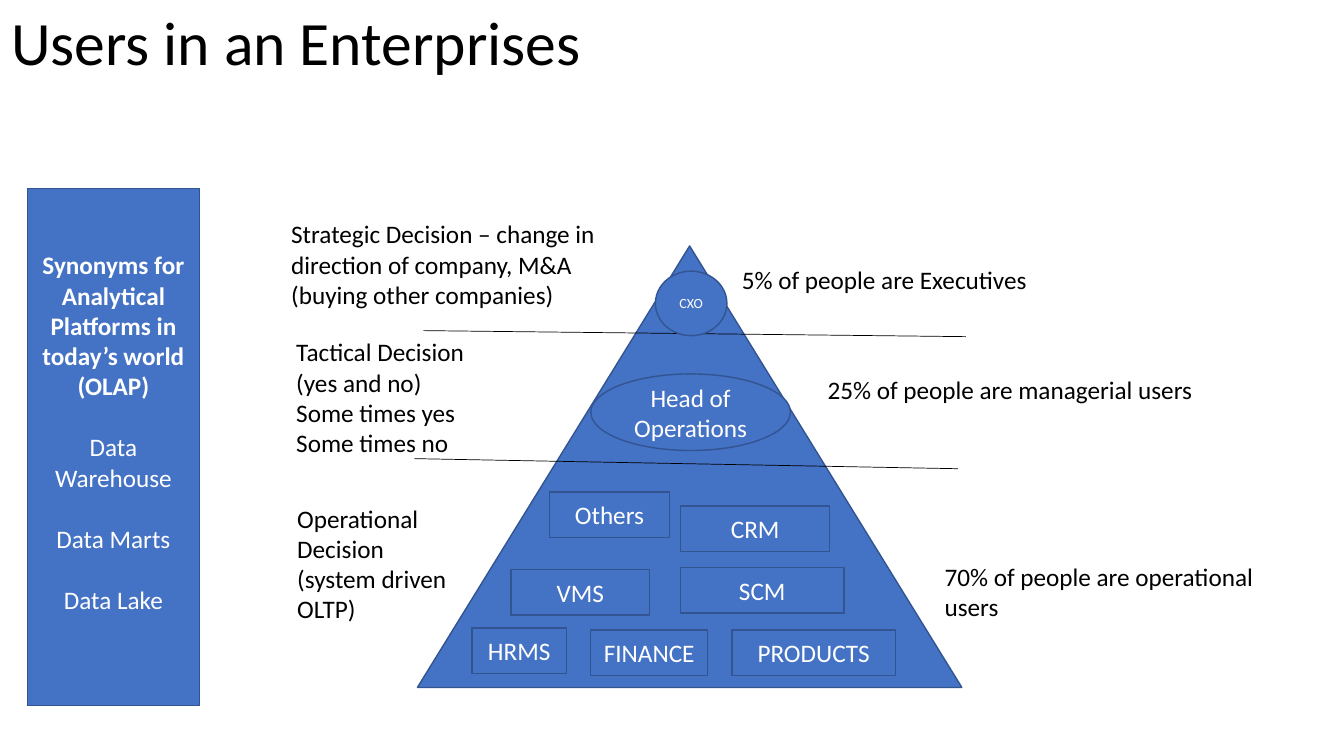
from typing import NamedTuple

from lxml.etree import SubElement
from pptx import Presentation
from pptx.dml.color import RGBColor
from pptx.enum.shapes import MSO_CONNECTOR, MSO_SHAPE
from pptx.enum.text import MSO_ANCHOR, PP_ALIGN
from pptx.oxml.ns import qn
from pptx.util import Inches, Pt

BLUE = RGBColor(0x44, 0x72, 0xC4)
EDGE = RGBColor(0x32, 0x54, 0x91)
BLACK = RGBColor(0, 0, 0)
WHITE = RGBColor(255, 255, 255)
FONT = "Calibri"
SYSTEM_HEIGHT = 0.45
BLANK_LINE = Pt(22)


class Node(NamedTuple):
    kind: MSO_SHAPE
    left: float
    top: float
    width: float
    height: float
    text: str = ""
    size: int = 18


class Label(NamedTuple):
    left: float
    top: float
    width: float
    height: float
    text: str


class Divider(NamedTuple):
    x1: float
    y1: float
    x2: float
    y2: float


def system(left: float, top: float, width: float, text: str) -> Node:
    return Node(MSO_SHAPE.RECTANGLE, left, top, width, SYSTEM_HEIGHT, text)


PYRAMID = Node(MSO_SHAPE.ISOSCELES_TRIANGLE, 4.14, 2.44, 5.4, 4.38)
DIVIDERS = [Divider(4.11, 4.55, 9.5, 4.65), Divider(4.2, 3.28, 9.58, 3.34)]
LABELS = [
    Label(9.27, 5.52, 3.34, 0.71, "70% of people are operational\nusers"),
    Label(8.11, 3.66, 4.16, 0.4, "25% of people are managerial users"),
    Label(7.26, 2.57, 4.16, 0.4, "5% of people are Executives"),
    Label(2.85, 4.94, 1.83, 1.31,
          "Operational\nDecision\n(system driven\nOLTP)"),
    Label(2.84, 3.29, 2.07, 1.31,
          "Tactical Decision\n(yes and no)\nSome times yes\nSome times no"),
    Label(2.79, 2.12, 3.6, 1.01,
          "Strategic Decision – change in direction of company, M&A "
          "(buying other companies)"),
]
NODES = [
    system(4.68, 6.23, 0.94, "HRMS"),
    system(5.86, 6.25, 1.16, "FINANCE"),
    system(7.26, 6.25, 1.62, "PRODUCTS"),
    system(6.75, 5.63, 1.62, "SCM"),
    system(5.07, 5.65, 1.37, "VMS"),
    system(6.75, 5.02, 1.48, "CRM"),
    system(5.45, 4.88, 1.19, "Others"),
    Node(MSO_SHAPE.OVAL, 5.86, 3.71, 1.98, 0.76, "Head of Operations"),
    Node(MSO_SHAPE.OVAL, 6.5, 2.69, 0.71, 0.64, "CXO", 10),
]
SIDEBAR = Node(
    MSO_SHAPE.RECTANGLE, 0.27, 1.87, 1.71, 5.13,
    "Synonyms for Analytical Platforms in today’s world\n(OLAP)\n"
    "Data Warehouse\nData Marts\nData Lake")


def format_text(tf, size: int, color: RGBColor, align: PP_ALIGN,
                anchor: MSO_ANCHOR) -> None:
    tf.word_wrap = True
    tf.vertical_anchor = anchor
    for p in tf.paragraphs:
        p.alignment = align
        for r in p.runs:
            r.font.name = FONT
            r.font.size = Pt(size)
            r.font.color.rgb = color


def add_node(slide, node: Node):
    sp = slide.shapes.add_shape(
        node.kind, Inches(node.left), Inches(node.top),
        Inches(node.width), Inches(node.height))
    sp.shadow.inherit = False
    sp.fill.solid()
    sp.fill.fore_color.rgb = BLUE
    sp.line.color.rgb = EDGE
    sp.line.width = Pt(1)
    if node.text:
        sp.text_frame.text = node.text
        format_text(sp.text_frame, node.size, WHITE, PP_ALIGN.CENTER,
                    MSO_ANCHOR.MIDDLE)
    return sp


def add_label(slide, label: Label) -> None:
    sp = slide.shapes.add_textbox(
        Inches(label.left), Inches(label.top),
        Inches(label.width), Inches(label.height))
    sp.text_frame.text = label.text
    format_text(sp.text_frame, 18, BLACK, PP_ALIGN.LEFT, MSO_ANCHOR.TOP)


def add_divider(slide, d: Divider) -> None:
    line = slide.shapes.add_connector(
        MSO_CONNECTOR.STRAIGHT, Inches(d.x1), Inches(d.y1),
        Inches(d.x2), Inches(d.y2))
    line.line.color.rgb = BLACK
    line.line.width = Pt(0.5)
    SubElement(line._element.spPr, qn("a:effectLst"))


def add_sidebar(slide) -> None:
    tf = add_node(slide, SIDEBAR).text_frame
    tf.margin_bottom = Inches(0.35)
    heading, items = tf.paragraphs[:2], tf.paragraphs[2:]
    for p in heading:
        p.runs[0].font.bold = True
    for p in items:
        p.space_before = BLANK_LINE


def set_title(slide) -> None:
    title = slide.shapes.title
    title.left, title.top = Inches(0.01), Inches(0.01)
    title.width, title.height = Inches(12.36), Inches(0.89)
    title.text_frame.text = "Users in an Enterprises"
    format_text(title.text_frame, 44, BLACK, PP_ALIGN.LEFT, MSO_ANCHOR.MIDDLE)
    title.text_frame.paragraphs[0].line_spacing = 0.9


def main() -> None:
    prs = Presentation()
    prs.slide_width, prs.slide_height = Inches(13.33), Inches(7.5)
    slide = prs.slides.add_slide(prs.slide_layouts[5])
    set_title(slide)

    # Pyramid and the lines between its levels
    add_node(slide, PYRAMID)
    for d in DIVIDERS:
        add_divider(slide, d)

    # Decisions on the left, shares of people on the right
    for label in LABELS:
        add_label(slide, label)

    # Roles and systems inside the pyramid
    for node in NODES:
        add_node(slide, node)

    add_sidebar(slide)
    prs.save("out.pptx")


if __name__ == "__main__":
    main()
